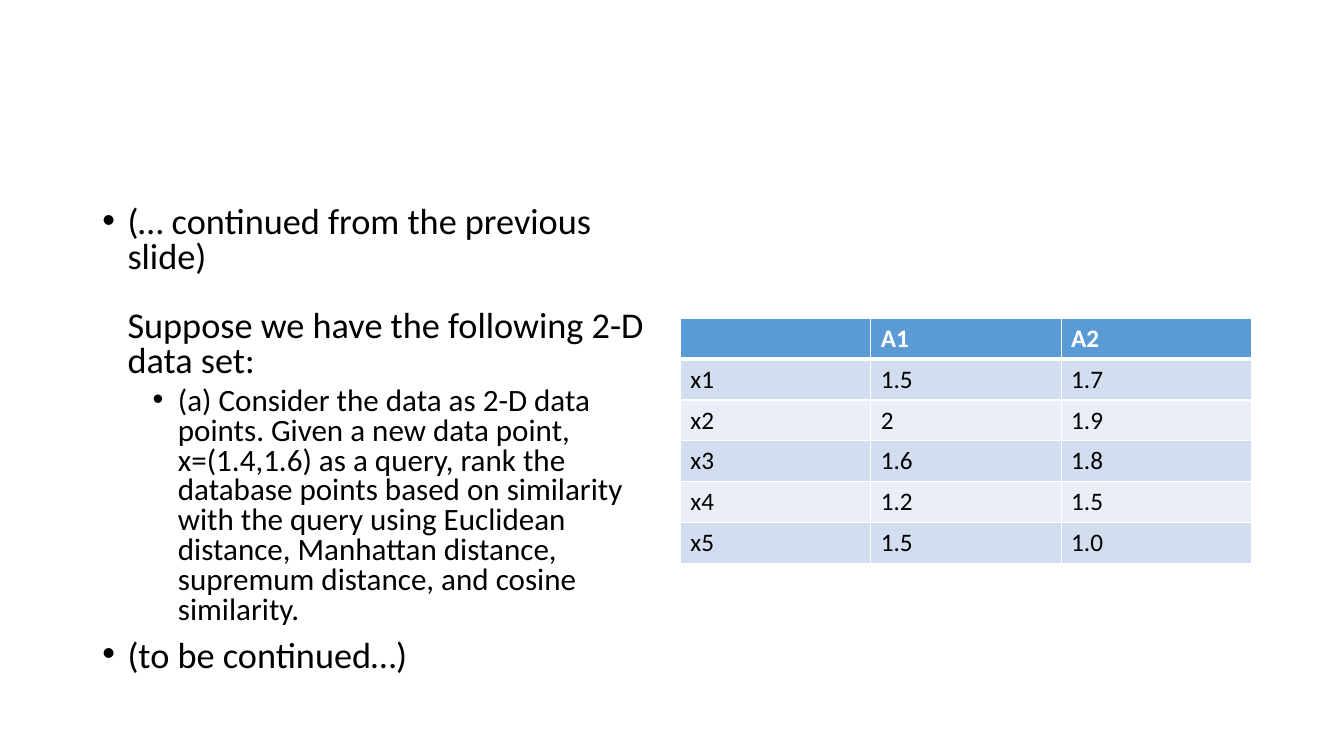
from dataclasses import dataclass

from lxml import etree
from pptx import Presentation
from pptx.dml.color import RGBColor
from pptx.oxml.ns import qn
from pptx.util import Emu, Pt

EMU_PER_PX = 9525
BLANK_LAYOUT = 6


@dataclass(frozen=True)
class Theme:
    """Colours and type sizes of the slide."""
    font: str = "Calibri"
    text: str = "000000"
    header_text: str = "FFFFFF"
    header_fill: str = "5B9BD5"
    bands: tuple = ("D2DEEF", "EAEFF7")
    border: str = "FFFFFF"
    body_size: float = 25.9
    detail_size: float = 22.2
    table_size: float = 18


THEME = Theme()

QUESTION = [
    (0, True, 0, "(… continued from the previous slide)"),
    (0, False, 24.7, "Suppose we have the following 2-D data set:"),
    (1, True, 5, "(a) Consider the data as 2-D data points. Given a new data point, "
                 "x=(1.4,1.6) as a query, rank the database points based on similarity "
                 "with the query using Euclidean distance, Manhattan distance, "
                 "supremum distance, and cosine similarity."),
    (0, True, 10, "(to be continued…)"),
]

DATA_SET = [
    ("", "A1", "A2"),
    ("x1", "1.5", "1.7"),
    ("x2", "2", "1.9"),
    ("x3", "1.6", "1.8"),
    ("x4", "1.2", "1.5"),
    ("x5", "1.5", "1.0"),
]


def px(length):
    """Turn pixels into EMU."""
    return Emu(round(length * EMU_PER_PX))


def set_font(paragraph, size, color, bold=False):
    """Format a whole paragraph."""
    font = paragraph.font
    font.name, font.size, font.bold = THEME.font, Pt(size), bold
    font.color.rgb = RGBColor.from_string(color)


def set_bullet(paragraph, level, bulleted):
    """Indent a paragraph by its level and show or hide its bullet."""
    paragraph.level = level
    properties = paragraph._p.get_or_add_pPr()
    properties.set("marL", str(px(24 + 48 * level)))
    properties.set("indent", str(px(-24 if bulleted else 0)))
    if bulleted:
        etree.SubElement(properties, qn("a:buFont"), typeface="Arial")
        etree.SubElement(properties, qn("a:buChar"), char="•")
    else:
        etree.SubElement(properties, qn("a:buNone"))


def set_border(cell, side, points):
    """Draw one side of a cell."""
    line = etree.SubElement(cell._tc.get_or_add_tcPr(), qn(f"a:ln{side}"), w=str(Pt(points)))
    fill = etree.SubElement(line, qn("a:solidFill"))
    etree.SubElement(fill, qn("a:srgbClr"), val=THEME.border)


def add_question(slide, left, top, width, height):
    """Place the bulleted question in its box."""
    shape = slide.shapes.add_textbox(px(left), px(top), px(width), px(height))
    frame = shape.text_frame
    frame.word_wrap = True
    for index, (level, bulleted, space, text) in enumerate(QUESTION):
        paragraph = frame.add_paragraph() if index else frame.paragraphs[0]
        paragraph.text = text
        set_bullet(paragraph, level, bulleted)
        paragraph.line_spacing = 0.8
        paragraph.space_before = Pt(space)
        set_font(paragraph, THEME.detail_size if level else THEME.body_size, THEME.text)


def add_data_table(slide, left, top, width, height):
    """Place the data set as a banded table in its box."""
    row_count, column_count = len(DATA_SET), len(DATA_SET[0])
    table = slide.shapes.add_table(
        row_count, column_count, px(left), px(top), px(width), px(height)).table
    for row_index, values in enumerate(DATA_SET):
        header = row_index == 0
        fill = THEME.header_fill if header else THEME.bands[(row_index - 1) % 2]
        color = THEME.header_text if header else THEME.text
        for column_index, value in enumerate(values):
            cell = table.cell(row_index, column_index)
            cell.text = value
            set_font(cell.text_frame.paragraphs[0], THEME.table_size, color, header)
            for side in "LRTB":
                under_header = (row_index, side) in ((0, "B"), (1, "T"))
                set_border(cell, side, 3 if under_header else 1)
            cell.fill.solid()
            cell.fill.fore_color.rgb = RGBColor.from_string(fill)


def main():
    """Build and save the presentation."""
    presentation = Presentation()
    presentation.slide_width, presentation.slide_height = px(1280), px(720)
    slide = presentation.slides.add_slide(presentation.slide_layouts[BLANK_LAYOUT])
    add_question(slide, 88, 192, 544, 457)
    add_data_table(slide, 648, 303, 544, 234)
    presentation.save("out.pptx")


if __name__ == "__main__":
    main()
